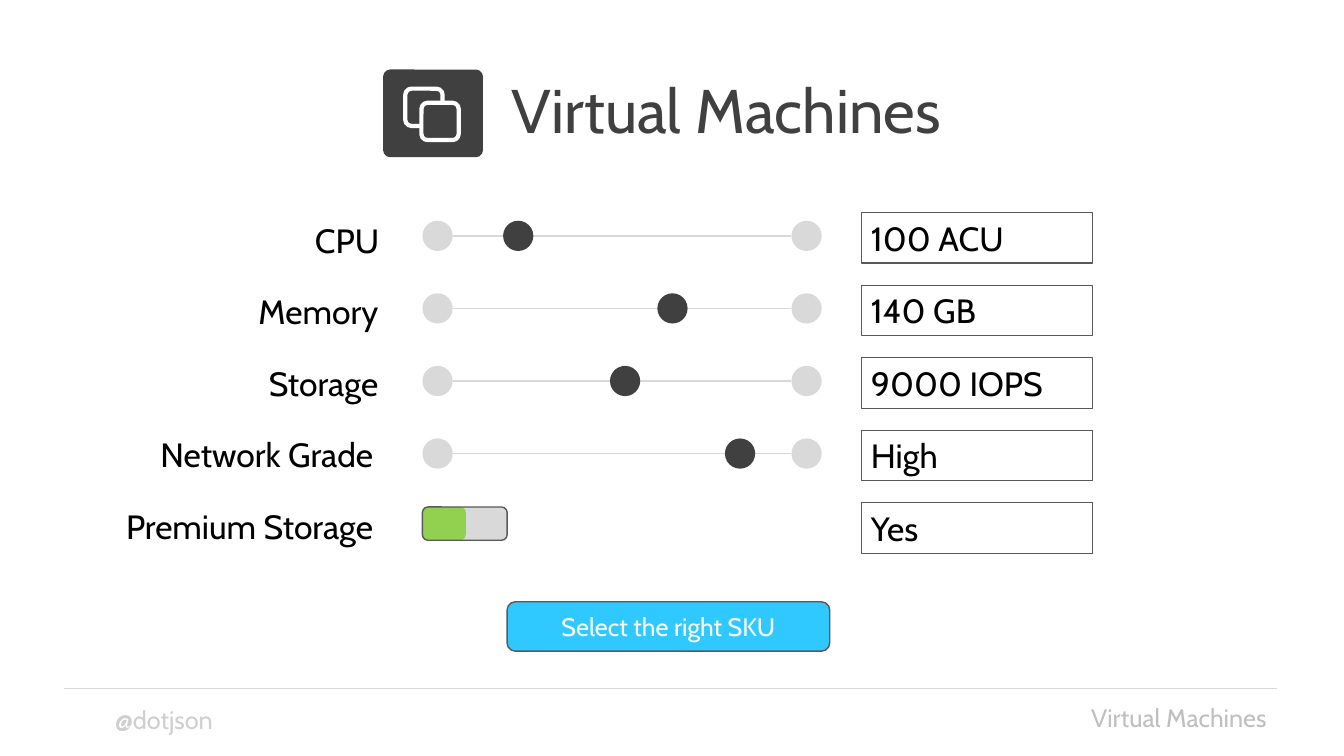
from lxml.etree import SubElement
from pptx import Presentation
from pptx.dml.color import RGBColor
from pptx.enum.shapes import MSO_CONNECTOR, MSO_SHAPE
from pptx.enum.text import MSO_ANCHOR, PP_ALIGN
from pptx.oxml.ns import qn
from pptx.util import Inches, Pt

INK, GREY, BORDER, WHITE = "404040", "D9D9D9", "595959", "FFFFFF"

deck = Presentation()
deck.slide_width, deck.slide_height = Inches(13.33), Inches(7.5)
slide = deck.slides.add_slide(deck.slide_layouts[6])


def draw(kind, *place, fill=None, line=None, weight=1, corner=None):
    place = [Inches(length) for length in place]
    if kind == "line":
        item = slide.shapes.add_connector(MSO_CONNECTOR.STRAIGHT, *place)
        SubElement(item._element.spPr, qn("a:effectLst"))
    elif kind == "text":
        return slide.shapes.add_textbox(*place)
    else:
        item = slide.shapes.add_shape(kind, *place)
        item.shadow.inherit = False
        if corner is not None:
            item.adjustments[0] = corner
        if fill:
            item.fill.solid()
            item.fill.fore_color.rgb = RGBColor.from_string(fill)
        else:
            item.fill.background()
    if line:
        item.line.color.rgb = RGBColor.from_string(line)
        item.line.width = Pt(weight)
    else:
        item.line.fill.background()
    return item


def write(item, text, size=24, color="000000", align=PP_ALIGN.LEFT, anchor=MSO_ANCHOR.TOP, spacing=1.0):
    frame = item.text_frame
    frame.word_wrap = True
    frame.vertical_anchor = anchor
    paragraph = frame.paragraphs[0]
    paragraph.text = text
    paragraph.alignment = align
    paragraph.line_spacing = spacing
    paragraph.font.size = Pt(size)
    paragraph.font.name = "Cabin"
    paragraph.font.color.rgb = RGBColor.from_string(color)


draw("line", 0.63, 6.83, 12.67, 6.83, line=GREY)
write(draw("text", 1.04, 6.94, 2.13, 0.4), "@dotjson", size=18, color="D0CECE")
write(draw("text", 9.08, 6.92, 3.58, 0.4), "Virtual Machines", size=18, color="BFBFBF", align=PP_ALIGN.RIGHT)

write(draw("text", 1.99, 0.4, 10.43, 1.45), "Virtual Machines", size=44, color=INK,
      align=PP_ALIGN.CENTER, anchor=MSO_ANCHOR.MIDDLE, spacing=0.9)
draw(MSO_SHAPE.ROUNDED_RECTANGLE, 3.8, 0.69, 0.99, 0.87, fill=INK, corner=0.08)
for left, top in ((4.02, 0.88), (4.18, 1.02)):
    draw(MSO_SHAPE.ROUNDED_RECTANGLE, left, top, 0.37, 0.37, fill=INK, line=WHITE, weight=3)

first_row, row_step, label_step = 2.11, 0.72, 0.71
track_left, track_right, knob = 4.19, 7.85, 0.3
settings = [
    ("CPU", 2.76, 3.86, 4.99, "100 ACU"),
    ("Memory", 2.17, 3.85, 6.52, "140 GB"),
    ("Storage", 2.17, 3.85, 6.05, "9000 IOPS"),
    ("Network Grade", 0.97, 3.8, 7.19, "High"),
    ("Premium Storage", 0.73, 3.8, None, "Yes"),
]
for row, (label, label_left, label_right, setting, value) in enumerate(settings):
    top = first_row + row * row_step
    label_top = first_row + 0.02 + row * label_step
    write(draw("text", label_left, label_top, label_right - label_left, 0.5), label, align=PP_ALIGN.RIGHT)
    write(draw(MSO_SHAPE.RECTANGLE, 8.54, top, 2.3, 0.5, line=BORDER, weight=0.75), value)
    if setting is None:
        for width, fill, line in ((0.84, GREY, None), (0.43, "92D050", None), (0.84, None, BORDER)):
            draw(MSO_SHAPE.ROUNDED_RECTANGLE, track_left, top + 0.04, width, 0.33, fill=fill, line=line)
    else:
        knob_top = top + 0.08
        middle = knob_top + knob / 2
        draw("line", track_left + knob, middle, track_right, middle, line=GREY)
        for left, fill in ((track_left, GREY), (track_right, GREY), (setting, INK)):
            draw(MSO_SHAPE.OVAL, left, knob_top, knob, knob, fill=fill)

write(draw(MSO_SHAPE.ROUNDED_RECTANGLE, 5.03, 5.97, 3.2, 0.49, fill="2FC9FF", line=BORDER),
      "Select the right SKU", size=18, color=WHITE, align=PP_ALIGN.CENTER, anchor=MSO_ANCHOR.MIDDLE)

deck.save("out.pptx")
